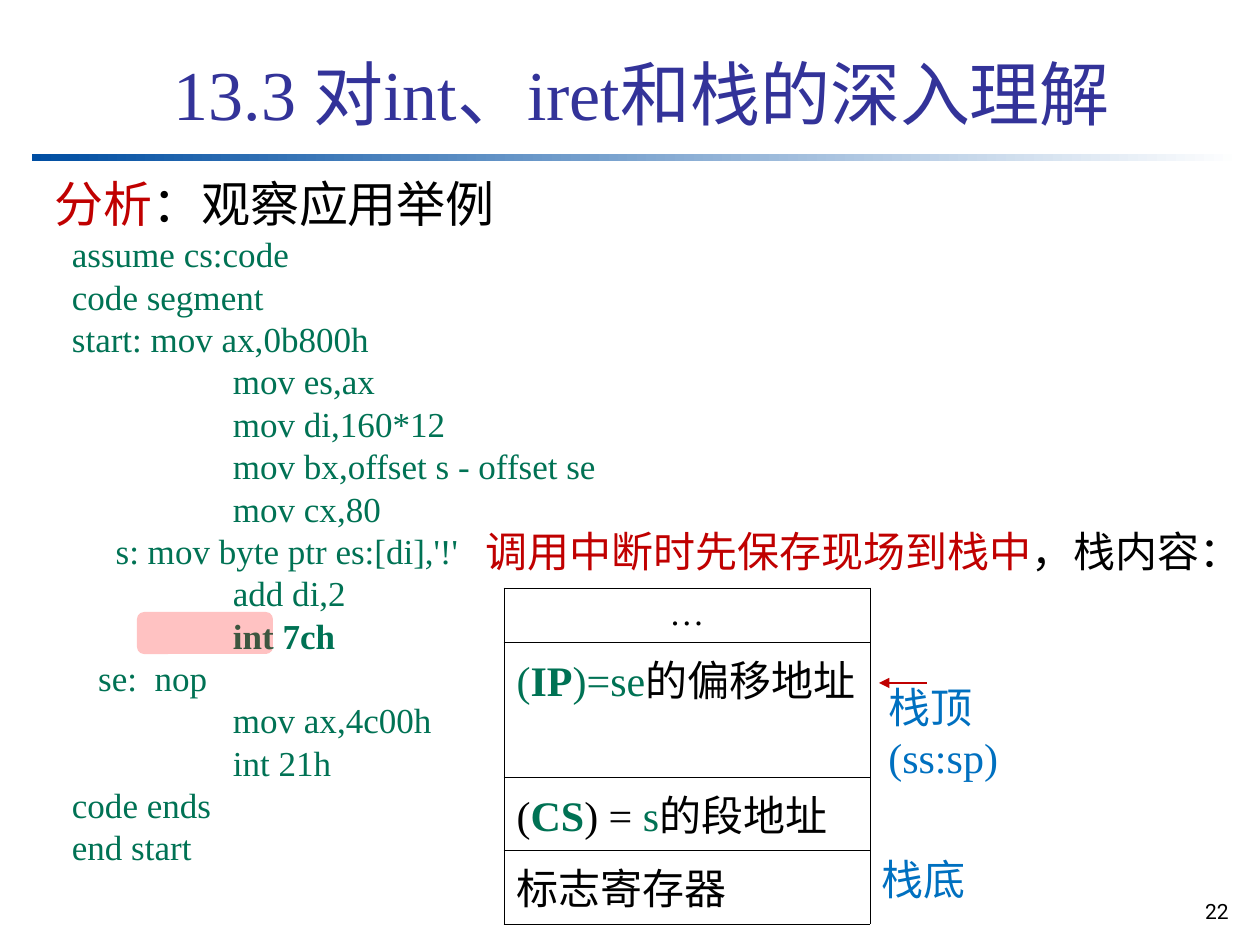
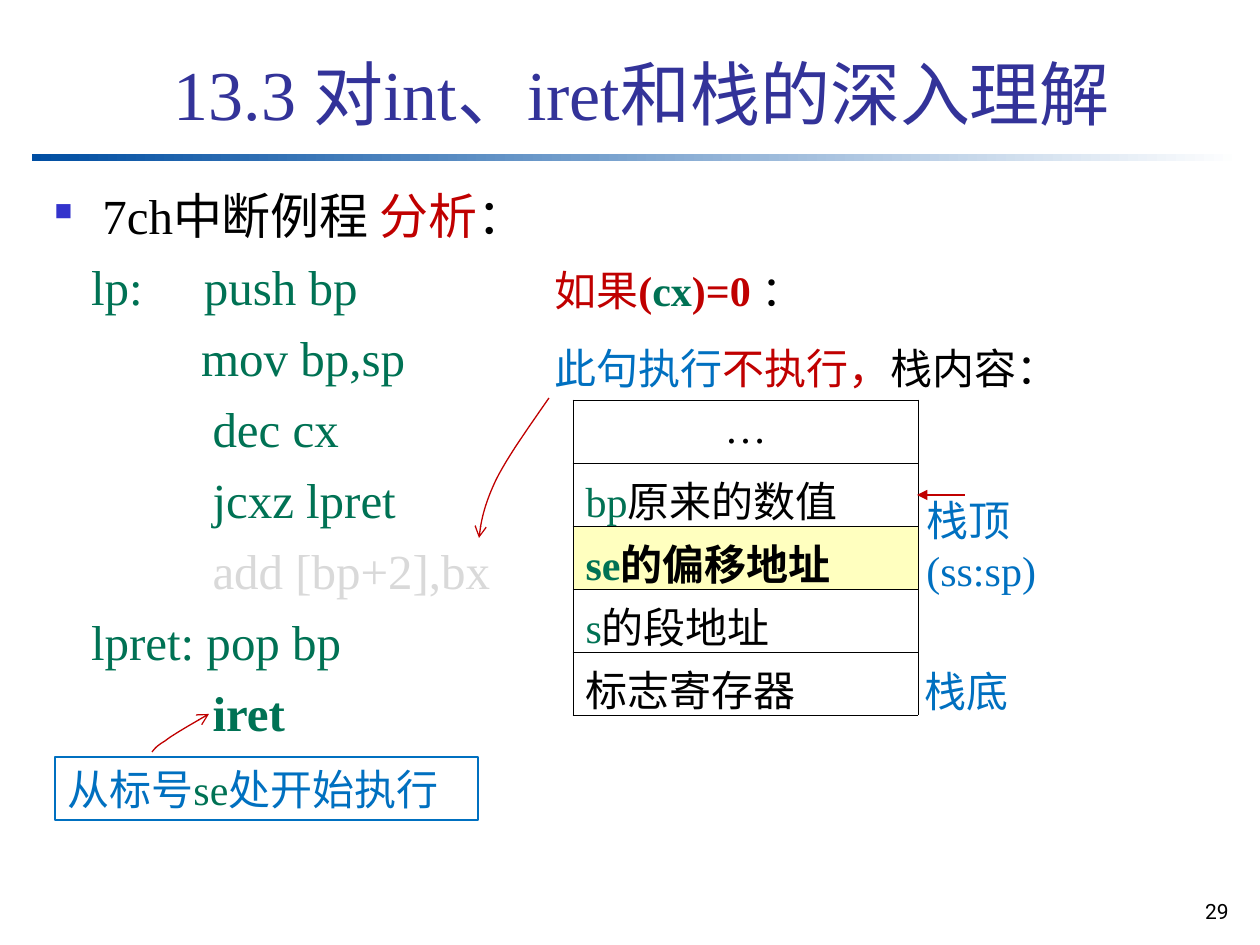
"""Build two slides on int, iret and the stack."""
from lxml.etree import SubElement
from pptx import Presentation
from pptx.dml.color import RGBColor
from pptx.enum.shapes import MSO_CONNECTOR, MSO_SHAPE
from pptx.enum.text import MSO_ANCHOR, PP_ALIGN
from pptx.oxml.ns import qn
from pptx.util import Emu, Pt

PX = 914400 / 126
LATIN = "Times New Roman"
CHINESE = "Noto Sans CJK SC"
BLACK = RGBColor(0x00, 0x00, 0x00)
WHITE = RGBColor(0xFF, 0xFF, 0xFF)
INDIGO = RGBColor(0x33, 0x33, 0x99)
NAVY = RGBColor(0x00, 0x4E, 0xA2)
RED = RGBColor(0xC0, 0x00, 0x00)
BRIGHT_RED = RGBColor(0xFF, 0x00, 0x00)
GREEN = RGBColor(0x00, 0x72, 0x54)
BLUE = RGBColor(0x00, 0x70, 0xC0)
GREY = RGBColor(0xD9, 0xD9, 0xD9)
YELLOW = RGBColor(0xFF, 0xFF, 0xBF)


def write(frame, paragraphs, size=24, font=LATIN, align=PP_ALIGN.LEFT, spacing=None, before=0):
    """Fill a text frame with paragraphs of (text, colour, bold) runs."""
    frame.word_wrap = True
    for number, runs in enumerate(paragraphs):
        paragraph = frame.add_paragraph() if number else frame.paragraphs[0]
        paragraph.alignment = align
        paragraph.line_spacing = spacing
        paragraph.space_before = Pt(before if number else 0)
        for text, colour, *bold in runs:
            for part, piece in enumerate(text.split("\n")):
                if part:
                    paragraph.add_line_break()
                run = paragraph.add_run()
                run.text = piece
                run.font.size = Pt(size)
                run.font.name = font
                run.font.bold = bool(bold)
                run.font.color.rgb = colour
                SubElement(run.font._element, qn("a:ea")).set("typeface", CHINESE)


def style_arrow(arrow, head):
    """Make a line thin and red, with an arrowhead at its end."""
    arrow.line.color.rgb = RED
    arrow.line.width = Pt(0.75)
    properties = arrow._element.spPr
    SubElement(properties.find(qn("a:ln")), qn("a:tailEnd")).set("type", head)
    SubElement(properties, qn("a:effectLst"))


deck = Presentation()
deck.slide_width, deck.slide_height = Emu(round(1260 * PX)), Emu(round(945 * PX))

assembly = [
    "  assume cs:code",
    "  code segment",
    "  start: mov ax,0b800h",
    "  \t      mov es,ax",
    "\t      mov di,160*12",
    "\t      mov bx,offset s - offset se",
    "\t      mov cx,80",
    "       s: mov byte ptr es:[di],'!'",
    "\t      add di,2",
    "\t      int 7ch",
    "     se:  nop",
    "\t      mov ax,4c00h",
    "\t      int 21h",
    "  code ends",
    "  end start",
]
example = [[("分析", RED), ("：观察应用举例", BLACK)]]
for line in assembly:
    example.append([(line, GREEN, "bold") if "7ch" in line else (line, GREEN)])

routine = [
    [("7ch中断例程 ", BLACK), ("分析", RED), ("：", BLACK)],
    [("   lp:     push bp", GREEN)],
    [("            mov bp,sp", GREEN)],
    [("\t         dec cx", GREEN)],
    [("\t         jcxz lpret", GREEN)],
    [("\t         add [bp+2],bx", GREY)],
    [("   lpret: pop bp", GREEN)],
    [("\t         iret", GREEN, "bold")],
]

pages = [
    dict(
        number="22", body=example, body_format=dict(size=20, spacing=0.8, before=5),
        stack_at=(504, 588, 366), row_heights=(54, 135, 73, 74), dots_size=20, cell_bottom=6,
        stack=[
            [("…", BLACK)],
            [("(", GREEN), ("IP", GREEN, "bold"), (")=se", GREEN), ("的偏移地址", BLACK)],
            [("(", BLACK), ("CS", GREEN, "bold"), (") = ", BLACK), ("s", GREEN), ("的段地址", BLACK)],
            [("标志寄存器", BLACK)],
        ],
        highlighted=None, pointer=(927, 879, 683), top_label=(876, 675), bottom_label=(869, 847),
        remarks=[((473, 519, 784), [("调用中断时先保存现场到栈中", RED), ("，栈内容：", BLACK)])],
    ),
    dict(
        number="29", body=routine, body_format=dict(size=28, before=7),
        stack_at=(573, 400, 345), row_heights=(63,) * 5, dots_size=24, cell_bottom=0,
        stack=[
            [("…", BLACK)],
            [("bp", GREEN), ("原来的数值", BLACK)],
            [("se", GREEN, "bold"), ("的偏移地址", BLACK, "bold")],
            [("s", GREEN), ("的段地址", BLACK)],
            [("标志寄存器", BLACK)],
        ],
        highlighted=2, pointer=(965, 917, 495), top_label=(914, 488), bottom_label=(912, 659),
        remarks=[
            ((542, 258, 595), [("如果", RED), ("(", RED, "bold"), ("cx", GREEN, "bold"),
                               (")=0 ", RED, "bold"), ("：", BLACK)]),
            ((542, 336, 595), [("此句执行", BLUE), ("不执行，", RED), ("栈内容：", BLACK)]),
        ],
    ),
]

for page in pages:
    slide = deck.slides.add_slide(deck.slide_layouts[5])
    shapes = slide.shapes

    band = shapes.add_shape(MSO_SHAPE.RECTANGLE, *[Emu(round(n * PX)) for n in (32, 154, 1210, 7)])
    band.shadow.inherit = False
    band.line.fill.background()
    band.fill.gradient()
    band.fill.gradient_angle = 0
    for stop, colour in zip(band.fill.gradient_stops, (NAVY, WHITE)):
        stop.color.rgb = colour

    heading = shapes.title
    heading.left, heading.top, heading.width, heading.height = [
        Emu(round(n * PX)) for n in (161, 23, 1074, 118)]
    heading.text_frame.vertical_anchor = MSO_ANCHOR.BOTTOM
    write(heading.text_frame, [[("13.3 对int、iret和栈的深入理解", INDIGO)]], size=40)

    left, top = page["top_label"]
    bottom_left, bottom_top = page["bottom_label"]
    texts = [
        ((1157, 892, 84, 42), [[(page["number"], BLACK)]],
         dict(size=12, font="Roboto", align=PP_ALIGN.RIGHT)),
        ((42, 179, 1192, 714), page["body"], page["body_format"]),
        ((left, top, 227, 113), [[("栈顶\n(ss:sp)", BLUE)]], {}),
        ((bottom_left, bottom_top, 160, 63), [[("栈底", BLUE)]], dict(font=CHINESE)),
    ]
    for place, remark in page["remarks"]:
        texts.append(((*place, 113), [remark], {}))
    for place, paragraphs, text_format in texts:
        frame = shapes.add_textbox(*[Emu(round(n * PX)) for n in place]).text_frame
        write(frame, paragraphs, **text_format)
        if paragraphs is example:
            for run in frame.paragraphs[0].runs:
                run.font.size = Pt(28)
            for paragraph in frame.paragraphs[1:]:
                tabs = SubElement(paragraph._p.get_or_add_pPr(), qn("a:tabLst"))
                SubElement(tabs, qn("a:tab"), pos=str(round(126 * PX)), algn="l")
        if paragraphs is routine:
            for paragraph in frame.paragraphs:
                indent = paragraph._p.get_or_add_pPr()
                indent.set("marL", str(round(48 * PX)))
                indent.set("indent", str(round(-48 * PX)))
            bullet = frame.paragraphs[0]._p.get_or_add_pPr()
            SubElement(SubElement(bullet, qn("a:buClr")), qn("a:srgbClr")).set("val", "3333CC")
            SubElement(bullet, qn("a:buSzPct")).set("val", "50000")
            SubElement(bullet, qn("a:buChar")).set("char", "■")

    left, top, width = page["stack_at"]
    heights = page["row_heights"]
    stack = shapes.add_table(
        len(heights), 1, *[Emu(round(n * PX)) for n in (left, top, width, sum(heights))]).table
    stack.first_row = stack.horz_banding = False
    for row, (height, runs) in enumerate(zip(heights, page["stack"])):
        stack.rows[row].height = Emu(round(height * PX))
        cell = stack.cell(row, 0)
        cell.margin_top = Emu(round(6 * PX))
        cell.margin_bottom = Emu(round(page["cell_bottom"] * PX))
        if row:
            write(cell.text_frame, [runs])
        else:
            write(cell.text_frame, [runs], size=page["dots_size"], align=PP_ALIGN.CENTER)
        for side in ("a:lnL", "a:lnR", "a:lnT", "a:lnB"):
            border = SubElement(cell._tc.get_or_add_tcPr(), qn(side), w=str(Pt(0.45)))
            SubElement(SubElement(border, qn("a:solidFill")), qn("a:srgbClr")).set("val", "000000")
        if row == page["highlighted"]:
            cell.fill.solid()
            cell.fill.fore_color.rgb = YELLOW
        else:
            cell.fill.background()

    start, end, level = [Emu(round(n * PX)) for n in page["pointer"]]
    style_arrow(shapes.add_connector(MSO_CONNECTOR.STRAIGHT, start, level, end, level), "triangle")

call_mark = deck.slides[0].shapes.add_shape(
    MSO_SHAPE.ROUNDED_RECTANGLE, *[Emu(round(n * PX)) for n in (137, 612, 136, 42)])
call_mark.shadow.inherit = False
call_mark.line.fill.background()
call_mark.fill.solid()
call_mark.fill.fore_color.rgb = BRIGHT_RED
tint = call_mark._element.spPr.find(qn("a:solidFill"))[0]
SubElement(tint, qn("a:alpha")).set("val", "24000")

shapes = deck.slides[1].shapes
return_note = shapes.add_shape(MSO_SHAPE.RECTANGLE, *[Emu(round(n * PX)) for n in (55, 757, 423, 63)])
return_note.shadow.inherit = False
return_note.fill.background()
return_note.line.color.rgb = BLUE
return_note.line.width = Pt(0.75)
write(return_note.text_frame, [[("从标号", BLUE), ("se", GREEN), ("处开始执行", BLUE)]])

skipped_line_curve = [(549, 398), (529, 427), (508, 456), (496, 480), (485, 503), (481, 520), (479, 538)]
return_curve = [(152, 752), (154, 750), (155, 747), (165, 741), (174, 734), (192, 724), (209, 714)]
STEPS = 12
for curve in (skipped_line_curve, return_curve):
    points = []
    for first in range(0, len(curve) - 1, 3):
        controls = curve[first:first + 4]
        for step in range(1, STEPS + 1):
            t = step / STEPS
            weights = ((1 - t) ** 3, 3 * t * (1 - t) ** 2, 3 * t ** 2 * (1 - t), t ** 3)
            points.append([round(PX * sum(w * point[axis] for w, point in zip(weights, controls)))
                           for axis in (0, 1)])
    builder = shapes.build_freeform(*[round(n * PX) for n in curve[0]])
    builder.add_line_segments(points, close=False)
    pointer = builder.convert_to_shape()
    pointer.fill.background()
    style_arrow(pointer, "arrow")

deck.save("out.pptx")
